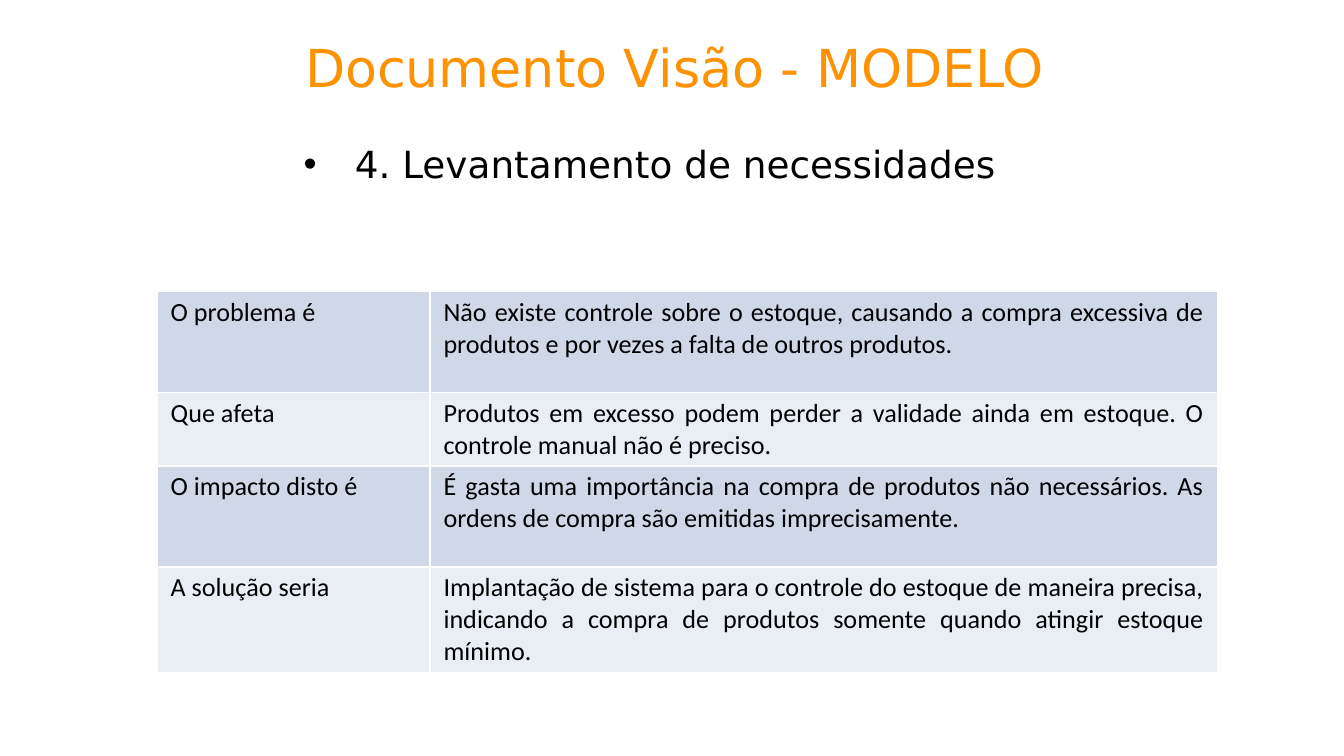
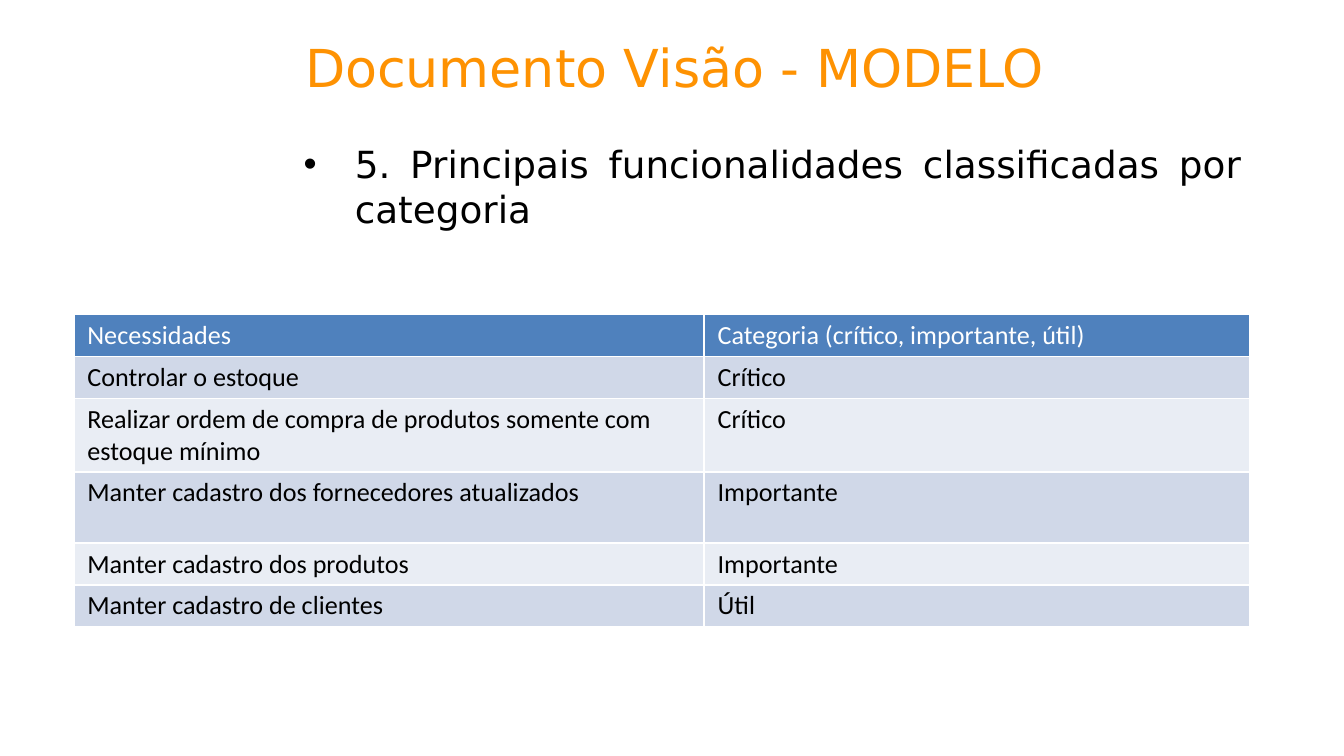
import pptx
import pptx.util
import pptx.dml.color
import pptx.enum.text
import pptx.oxml.ns
import lxml.etree

WIDTH = pptx.util.Inches(10)
HEIGHT = WIDTH * 9 // 16
COLS, ROWS = 100, 100
ORANGE, BLACK, WHITE = "FE9202", "000000", "FFFFFF"
HEADER, BANDS = "4F81BD", ("D0D8E8", "E9EDF4")
TITLE_FONT, TABLE_FONT = "DejaVu Sans", "Calibri"
TITLE_BOX = (21.7, 3.73, 71.8, 11.2)
BODY_BOX = (21.6, 17.78, 71.8, 70.76)
LEFT = pptx.enum.text.PP_ALIGN.LEFT
JUSTIFY = pptx.enum.text.PP_ALIGN.JUSTIFY
TALL, MEDIUM, SHORT = 13.33, 9.42, 5.33

TITLE = "Documento Visão - MODELO"
PROBLEM = [
    ("O problema é", "Não existe controle sobre o estoque, causando a compra excessiva de produtos e por vezes a falta de outros produtos."),
    ("Que afeta", "Produtos em excesso podem perder a validade ainda em estoque. O controle manual não é preciso."),
    ("O impacto disto é", "É gasta uma importância na compra de produtos não necessários. As ordens de compra são emitidas imprecisamente."),
    ("A solução seria", "Implantação de sistema para o controle do estoque de maneira precisa, indicando a compra de produtos somente quando atingir estoque mínimo."),
]
FEATURES = [
    ("Necessidades", "Categoria (crítico, importante, útil)"),
    ("Controlar o estoque", "Crítico"),
    ("Realizar ordem de compra de produtos somente com estoque mínimo", "Crítico"),
    ("Manter cadastro dos fornecedores atualizados", "Importante"),
    ("Manter cadastro dos produtos", "Importante"),
    ("Manter cadastro de clientes", "Útil"),
]


def color(value):
    return pptx.dml.color.RGBColor.from_string(value)


def across(n):
    return round(n * WIDTH / COLS)


def down(n):
    return round(n * HEIGHT / ROWS)


def write(tf, text, font=TITLE_FONT, size=20, fill=BLACK, align=LEFT, before=0):
    p = tf.paragraphs[0]
    p.alignment = align
    p.space_before = pptx.util.Pt(before)
    r = p.add_run()
    r.text = text
    r.font.name = font
    r.font.size = pptx.util.Pt(size)
    r.font.bold = False
    r.font.color.rgb = color(fill)
    return p


def place(sp, box):
    left, top, width, height = box
    sp.left, sp.top = across(left), down(top)
    sp.width, sp.height = across(width), down(height)
    tf = sp.text_frame
    tf.word_wrap = True
    tf.auto_size = pptx.enum.text.MSO_AUTO_SIZE.NONE
    tf.vertical_anchor = pptx.enum.text.MSO_ANCHOR.TOP
    return tf


def add_title(s, box):
    write(place(s.shapes.title, box), TITLE, size=28, fill=ORANGE)


def add_topic(s, box, text):
    p = write(place(s.placeholders[1], box), text, align=JUSTIFY, before=4)
    pPr = p._p.get_or_add_pPr()
    indent = pptx.util.Inches(0.38)
    pPr.set("marL", str(indent))
    pPr.set("indent", str(-indent))
    bullet = lxml.etree.SubElement(pPr, pptx.oxml.ns.qn("a:buChar"))
    bullet.set("char", "•")


def add_grid(s, origin, widths, heights, rows, header=False, align=LEFT):
    left, top = origin
    frame = s.shapes.add_table(len(rows), len(widths), across(left), down(top),
                               across(sum(widths)), down(sum(heights)))
    table = frame.table
    table.first_row = header
    for column, width in zip(table.columns, widths):
        column.width = across(width)
    for i, (row, height, texts) in enumerate(zip(table.rows, heights, rows)):
        row.height = down(height)
        is_header = header and i == 0
        for cell, text in zip(row.cells, texts):
            cell.margin_left = cell.margin_right = pptx.util.Inches(0.1)
            cell.margin_top = cell.margin_bottom = pptx.util.Pt(2.7)
            cell.fill.solid()
            cell.fill.fore_color.rgb = color(HEADER if is_header else BANDS[(i - header) % 2])
            write(cell.text_frame, text, font=TABLE_FONT, size=14,
                  fill=WHITE if is_header else BLACK, align=align)


def add_model_slide(prs, topic, **grid):
    s = prs.slides.add_slide(prs.slide_layouts[1])
    add_title(s, TITLE_BOX)
    add_topic(s, BODY_BOX, topic)
    add_grid(s, **grid)


def main():
    prs = pptx.Presentation()
    prs.slide_width = WIDTH
    prs.slide_height = HEIGHT
    add_model_slide(prs, "4. Levantamento de necessidades",
                    origin=(11.7, 38.58), widths=(20.3, 58.6),
                    heights=(TALL, MEDIUM, TALL, TALL), rows=PROBLEM, align=JUSTIFY)
    add_model_slide(prs, "5. Principais funcionalidades classificadas por categoria",
                    origin=(5.5, 41.6), widths=(46.9, 40.6),
                    heights=(SHORT, SHORT, MEDIUM, MEDIUM, SHORT, SHORT),
                    rows=FEATURES, header=True)
    prs.save("out.pptx")


if __name__ == "__main__":
    main()
